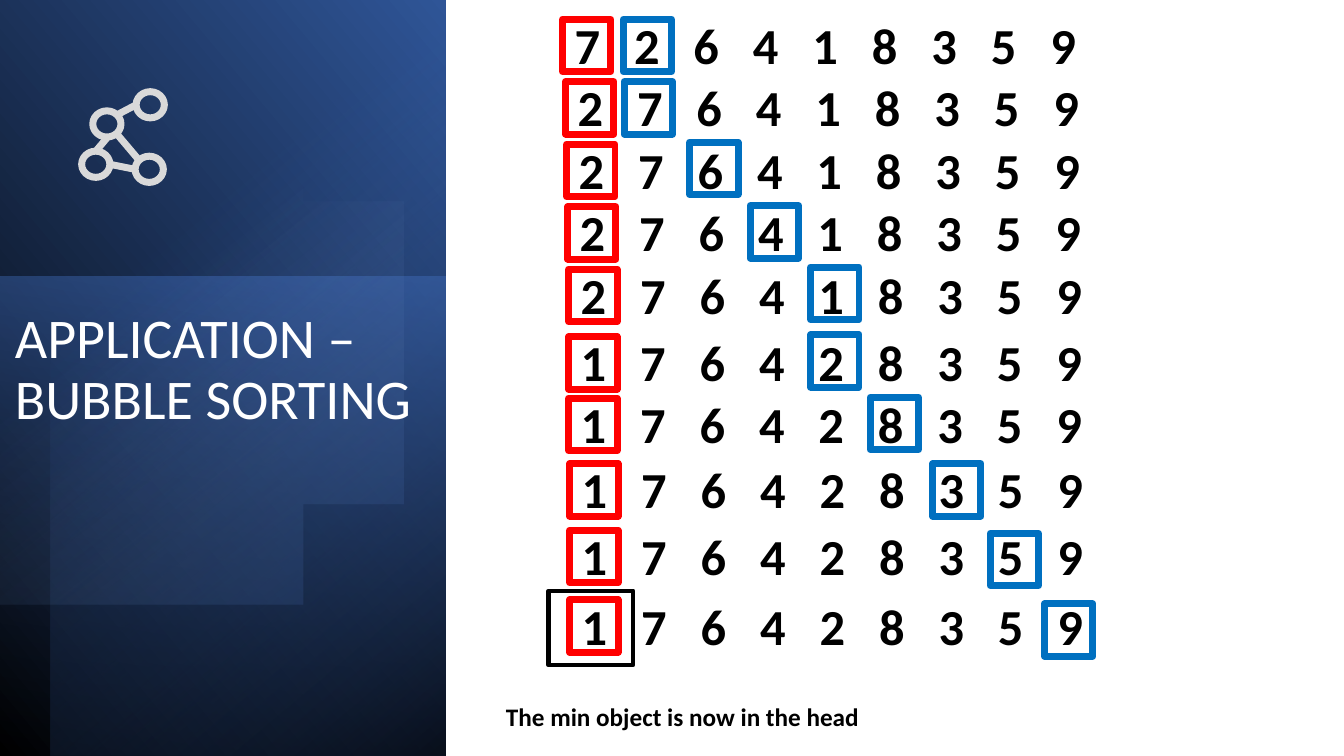
"""Build the bubble sorting slide: a blue title panel beside the steps of the first pass."""
from dataclasses import dataclass
from typing import Optional

import lxml.etree
import pptx
import pptx.dml.color
import pptx.enum.shapes
import pptx.enum.text
import pptx.oxml.ns
import pptx.util

Inches = pptx.util.Inches
Pt = pptx.util.Pt
qn = pptx.oxml.ns.qn
SHAPE = pptx.enum.shapes.MSO_SHAPE

COLORS = {
    "black": "000000", "white": "FFFFFF", "icon": "D9D9D9", "red": "FF0000",
    "blue": "0070C0", "royal": "2F5597", "accent": "4472C4",
    "navy": "203864", "pale": "8FAADC",
}
FONT = "Calibri"
DIGIT_PITCH = 0.59
MARK_SIZE = (0.48, 0.52)
NODE_SIZE = (0.28, 0.26)


@dataclass
class Stop:
    position: float
    color: str
    opacity: int = 100


@dataclass
class Panel:
    box: tuple[float, float, float, float]
    rotation: int
    flipped: bool
    stops: tuple[Stop, Stop]
    angle: float


@dataclass
class Step:
    digits: str
    left: float
    top: float
    blue_left: float
    blue_top: float


PANELS = [
    Panel((-1.55, 1.55, 7.52, 4.42), 90, True,
          (Stop(0, "black"), Stop(1, "royal")), 310),
    Panel((-0.17, 2.91, 4.76, 4.42), 270, False,
          (Stop(0, "accent", 50), Stop(1, "navy", 0)), 190),
    Panel((-1.29, 1.79, 7.5, 3.92), 270, True,
          (Stop(0, "black", 59), Stop(0.69, "accent", 0)), 220),
]
DISC_STOPS = (Stop(0.39, "pale", 0), Stop(1, "royal", 26))
DISC_START = (1.43, 0.84)
DISC_CURVES = [
    ((1.6, 0.84), (1.78, 0.86), (1.96, 0.89)),
    ((3.38, 1.19), (4.29, 2.58), (4, 4)),
    ((3.71, 5.42), (2.32, 6.34), (0.9, 6.05)),
    ((0.63, 5.99), (0.38, 5.9), (0.15, 5.77)),
    ((0.1, 5.74), (0.05, 5.71), (0, 5.68)),
    ((0, 4.2), (0, 2.7), (0, 1.26)),
    ((0.07, 1.22), (0.13, 1.19), (0.2, 1.15)),
    ((0.57, 0.95), (0.99, 0.84), (1.43, 0.84)),
]
NODES = [(0.81, 1.5), (0.92, 1.1), (1.34, 1.55), (1.35, 0.91)]
EDGES = [
    (0.95, 1.5, 1.06, 1.37), (1.16, 1.33, 1.38, 1.59),
    (1.09, 1.63, 1.34, 1.68), (1.16, 1.14, 1.35, 1.04),
]
STEPS = [
    Step("726418359", 5.6, 0.09, 6.18, 0.19),
    Step("276418359", 5.63, 0.71, 6.19, 0.81),
    Step("276418359", 5.64, 1.33, 6.84, 1.41),
    Step("276418359", 5.65, 1.95, 7.44, 2.04),
    Step("276418359", 5.66, 2.57, 8.04, 2.65),
    Step("176428359", 5.66, 3.24, 8.04, 3.32),
    Step("176428359", 5.66, 3.85, 8.63, 3.94),
    Step("176428359", 5.67, 4.5, 9.25, 4.6),
    Step("176428359", 5.67, 5.16, 9.82, 5.29),
    Step("176428359", 5.67, 5.85, 10.36, 5.99),
]


def rgb(name: str) -> pptx.dml.color.RGBColor:
    return pptx.dml.color.RGBColor.from_string(COLORS[name])


def apply_gradient(shape, stops: tuple[Stop, Stop], angle: float) -> None:
    shape.shadow.inherit = False
    shape.line.fill.background()
    shape.fill.gradient()
    shape.fill.gradient_angle = 360 - angle
    for target, stop in zip(shape.fill.gradient_stops, stops):
        target.position = stop.position
        target.color.rgb = rgb(stop.color)
    gradient = shape._element.spPr.find(qn("a:gradFill"))
    for element, stop in zip(gradient.iter(qn("a:srgbClr")), stops):
        alpha = lxml.etree.SubElement(element, qn("a:alpha"))
        alpha.set("val", str(stop.opacity * 1000))


def add_panel(slide, panel: Panel) -> None:
    shape = slide.shapes.add_shape(SHAPE.RECTANGLE, *map(Inches, panel.box))
    shape.rotation = panel.rotation
    if panel.flipped:
        shape._element.spPr.find(qn("a:xfrm")).set("flipH", "1")
    apply_gradient(shape, panel.stops, panel.angle)


def add_disc(slide) -> None:
    points = []
    start = DISC_START
    for first, second, end in DISC_CURVES:
        for index in range(1, 17):
            t = index / 16
            points.append(tuple(
                (1 - t) ** 3 * a + 3 * (1 - t) ** 2 * t * b
                + 3 * (1 - t) * t ** 2 * c + t ** 3 * d
                for a, b, c, d in zip(start, first, second, end)))
        start = end
    builder = slide.shapes.build_freeform(*DISC_START, scale=Inches(1))
    builder.add_line_segments(points, close=True)
    apply_gradient(builder.convert_to_shape(), DISC_STOPS, 52)


def add_outline(shapes, kind, left: float, top: float, size: tuple[float, float],
                color: str, weight: float = 5) -> None:
    shape = shapes.add_shape(kind, *map(Inches, (left, top, *size)))
    shape.shadow.inherit = False
    shape.fill.background()
    shape.line.color.rgb = rgb(color)
    shape.line.width = Pt(weight)


def add_icon(slide) -> None:
    group = slide.shapes.add_group_shape()
    for left, top in NODES:
        add_outline(group.shapes, SHAPE.OVAL, left, top, NODE_SIZE, "icon")
    for edge in EDGES:
        connector = group.shapes.add_connector(
            pptx.enum.shapes.MSO_CONNECTOR.STRAIGHT, *map(Inches, edge))
        connector.line.color.rgb = rgb("icon")
        connector.line.width = Pt(5)
        lxml.etree.SubElement(connector._element.spPr, qn("a:effectLst"))


def add_text(slide, text: str, box: tuple[float, float, float, float], size: float,
             color: str = "black", bold: bool = True, spacing: Optional[float] = None,
             tab_count: int = 0) -> None:
    frame = slide.shapes.add_textbox(*map(Inches, box)).text_frame
    frame.word_wrap = True
    frame.vertical_anchor = pptx.enum.text.MSO_ANCHOR.TOP
    paragraph = frame.paragraphs[0]
    if spacing:
        paragraph.line_spacing = spacing
    if tab_count:
        tabs = lxml.etree.SubElement(paragraph._p.get_or_add_pPr(), qn("a:tabLst"))
        for index in range(1, tab_count + 1):
            tab = lxml.etree.SubElement(tabs, qn("a:tab"))
            tab.set("pos", str(Inches(DIGIT_PITCH * index)))
            tab.set("algn", "l")
    run = paragraph.add_run()
    run.text = text
    run.font.name = FONT
    run.font.size = Pt(size)
    run.font.bold = bold
    run.font.color.rgb = rgb(color)


def add_step(slide, step: Step) -> None:
    add_text(slide, "\t".join(step.digits), (step.left, step.top, 5.24, 0.71), 36,
             tab_count=len(step.digits) - 1)
    add_outline(slide.shapes, SHAPE.RECTANGLE, step.left - 0.02, step.top + 0.1,
                MARK_SIZE, "red")
    add_outline(slide.shapes, SHAPE.RECTANGLE, step.blue_left, step.blue_top,
                MARK_SIZE, "blue")


def main() -> None:
    presentation = pptx.Presentation()
    presentation.slide_width = Inches(13.33)
    presentation.slide_height = Inches(7.5)
    slide = presentation.slides.add_slide(presentation.slide_layouts[6])
    for panel in PANELS:
        add_panel(slide, panel)
    add_disc(slide)
    add_text(slide, "APPLICATION – BUBBLE SORTING", (0.05, 3.03, 4.36, 3.36), 40,
             color="white", bold=False, spacing=0.9)
    add_icon(slide)
    for step in STEPS:
        add_step(slide, step)
    add_text(slide, "The min object is now in the head", (4.92, 6.91, 3.9, 0.4), 18)
    add_outline(slide.shapes, SHAPE.RECTANGLE, 5.44, 5.86, (0.84, 0.74), "black", 3)
    presentation.save("out.pptx")


if __name__ == "__main__":
    main()
